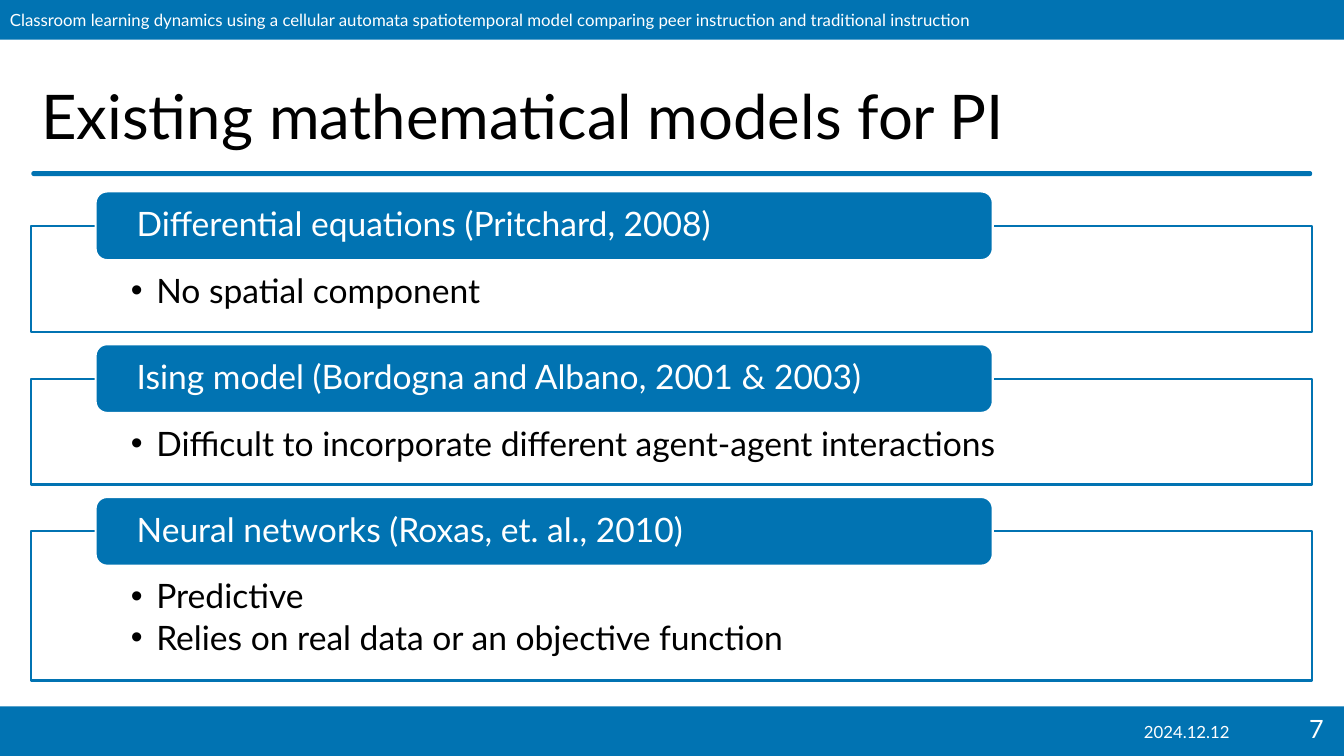
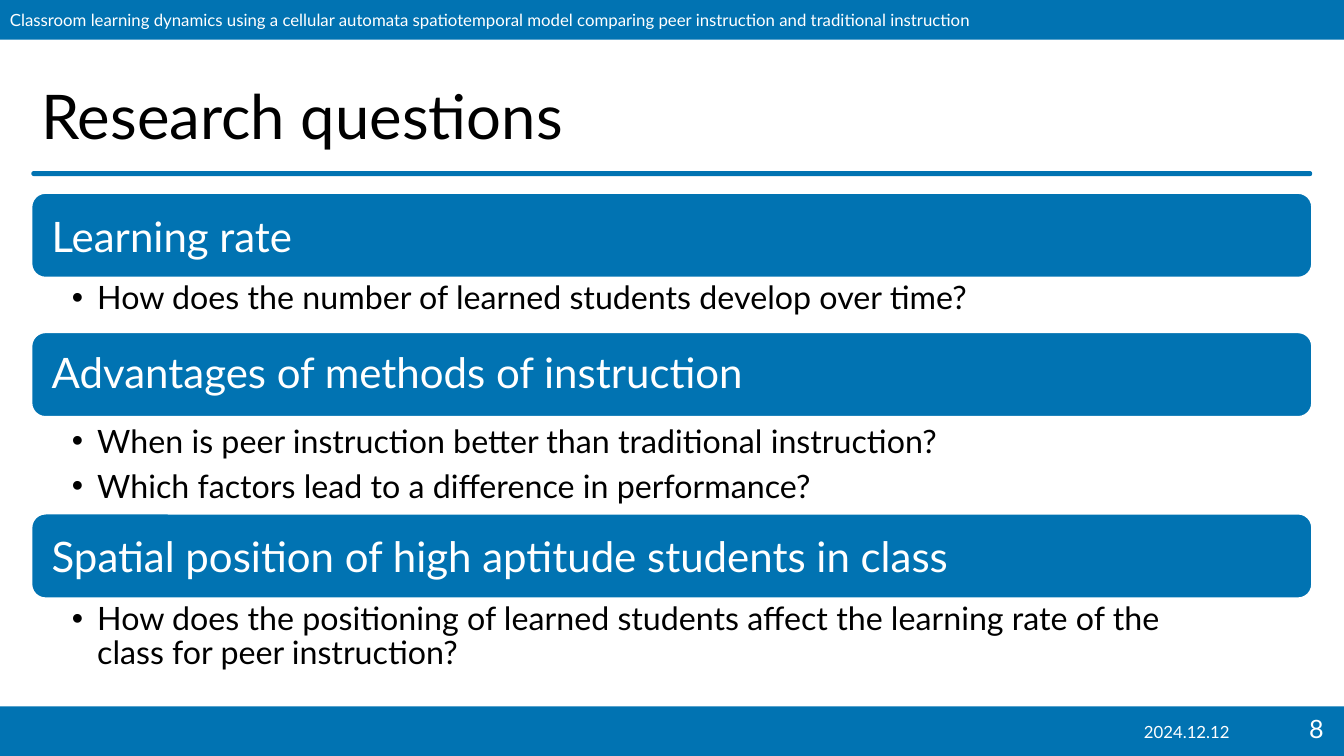
from lxml import etree
from pptx import Presentation
from pptx.dml.color import RGBColor
from pptx.enum.shapes import MSO_SHAPE
from pptx.enum.text import MSO_ANCHOR, PP_ALIGN
from pptx.oxml.ns import qn
from pptx.util import Cm, Pt

RECT, ROUND = MSO_SHAPE.RECTANGLE, MSO_SHAPE.ROUNDED_RECTANGLE
TOP, MIDDLE = MSO_ANCHOR.TOP, MSO_ANCHOR.MIDDLE
LEFT, CENTER, RIGHT = PP_ALIGN.LEFT, PP_ALIGN.CENTER, PP_ALIGN.RIGHT

BLUE = RGBColor(0x01, 0x73, 0xB2)
WHITE = RGBColor(0xFF, 0xFF, 0xFF)
BLACK = RGBColor(0x00, 0x00, 0x00)
FONT = "Lato"

SLIDE_W, SLIDE_H = 33.87, 19.05
MARGIN, BODY_W = 0.79, 32.28
RUNNING_TITLE = ("Classroom learning dynamics using a cellular automata spatiotemporal "
                 "model comparing peer instruction and traditional instruction")
DATE = "2024.12.12"
FIRST_PAGE = 7
TITLES = ["Existing mathematical models for PI", "Research questions"]

# heading, bullets, frame height
MODELS = [
    ("Differential equations (Pritchard, 2008)", ["No spatial component"], 2.67),
    ("Ising model (Bordogna and Albano, 2001 & 2003)",
     ["Difficult to incorporate different agent-agent interactions"], 2.67),
    ("Neural networks (Roxas, et. al., 2010)",
     ["Predictive", "Relies on real data or an objective function"], 3.76),
]
# heading, its line spacing, bullets, their line spacing, height of the bullets
QUESTIONS = [
    ("Learning rate", 1.0,
     ["How does the number of learned students develop over time?"], 0.9, 1.37),
    ("Advantages of methods of instruction", 0.9,
     ["When is peer instruction better than traditional instruction?",
      "Which factors lead to a difference in performance?"], 1.0, 2.43),
    ("Spatial position of high aptitude students in class", 1.0,
     ["How does the positioning of learned students affect the learning rate of the\v"
      "class for peer instruction?"], 0.9, 2.03),
]


def add_box(s, box, kind=None, fill=None, line=None):
    """Add a preset shape, or a text box when no kind is given."""
    box = [Cm(v) for v in box]
    if kind is None:
        return s.shapes.add_textbox(*box)
    sp = s.shapes.add_shape(kind, *box)
    sp.shadow.inherit = False
    sp.fill.solid()
    sp.fill.fore_color.rgb = fill
    if line is None:
        sp.line.fill.background()
    else:
        sp.line.color.rgb = line
        sp.line.width = Pt(1.5)
    return sp


def write(sp, lines, size, color, align=LEFT, spacing=1.0, after=0, bullet=False,
          anchor=MIDDLE, insets=(0.25, 0.13, 0.25, 0.13)):
    """Fill a shape with one paragraph per line; insets are left, top, right, bottom."""
    tf = sp.text_frame
    left, top, right, bottom = [Cm(v) for v in insets]
    frame_format = {"word_wrap": True, "vertical_anchor": anchor, "margin_left": left,
                    "margin_top": top, "margin_right": right, "margin_bottom": bottom}
    for name, value in frame_format.items():
        setattr(tf, name, value)
    for i, line in enumerate(lines):
        p = tf.paragraphs[0] if i == 0 else tf.add_paragraph()
        p.text = line
        if bullet:
            pPr = p._p.get_or_add_pPr()
            pPr.set("marL", str(Cm(0.64)))
            pPr.set("indent", str(-Cm(0.64)))
            etree.SubElement(pPr, qn("a:buFont")).set("typeface", "Arial")
            etree.SubElement(pPr, qn("a:buChar")).set("char", "•")
        paragraph_format = {"alignment": align, "line_spacing": spacing,
                            "space_after": Pt(after)}
        for name, value in paragraph_format.items():
            setattr(p, name, value)
        for r in p.runs:
            r.font.name = FONT
            r.font.size = Pt(size)
            r.font.color.rgb = color


prs = Presentation()
prs.slide_width, prs.slide_height = Cm(SLIDE_W), Cm(SLIDE_H)
layout = prs.slide_layouts[5]
slides = [prs.slides.add_slide(layout) for _ in TITLES]
models, questions = slides

# Bands and title rule are drawn once, then moved to the layout
header = add_box(models, (0, 0, SLIDE_W, 1), RECT, BLUE)
write(header, [RUNNING_TITLE], 12, WHITE)
footer = add_box(models, (0, 17.8, SLIDE_W, 1.25), RECT, BLUE)
rule = add_box(models, (MARGIN, 4.31, BODY_W, 0.13), ROUND, BLUE)
rule.adjustments[0] = 0.5
for sp in (header, footer, rule):
    layout.shapes.element.append(sp.element)

# Title, date and page number
for page, (s, title) in enumerate(zip(slides, TITLES), FIRST_PAGE):
    sp = s.shapes.title
    sp.left, sp.top, sp.width, sp.height = Cm(MARGIN), Cm(1.93), Cm(27.74), Cm(2.16)
    write(sp, [title], 44, BLACK, spacing=0.9)
    write(add_box(s, (28.4, 17.93, 3.02, 1)), [DATE], 12, WHITE, CENTER)
    write(add_box(s, (31.55, 17.93, 2.06, 1)), [str(page)], 18, WHITE, RIGHT,
          spacing=0.9, anchor=TOP)

# Framed lists with a heading centred on the top edge
HEADING_H, FRAME_GAP = 1.73, 1.18
y = 5.69
for heading, bullets, height in MODELS:
    frame = add_box(models, (MARGIN, y, BODY_W, height), RECT, WHITE, BLUE)
    write(frame, bullets, 24, BLACK, spacing=0.9, after=3.6, bullet=True, anchor=TOP,
          insets=(2.51, 1.22, 2.51, 0.48))
    label = add_box(models, (2.41, y - HEADING_H / 2, 22.61, HEADING_H), ROUND, BLUE, WHITE)
    write(label, [heading], 24, WHITE, spacing=0.9, insets=(0.95, 0, 0.95, 0))
    y += height + FRAME_GAP

# Full-width headings with bullets stacked below
BAR_H = 2.14
y = 4.86
for heading, heading_spacing, bullets, bullet_spacing, height in QUESTIONS:
    bar = add_box(questions, (MARGIN, y, BODY_W, BAR_H), ROUND, BLUE, WHITE)
    write(bar, [heading], 30, WHITE, spacing=heading_spacing, insets=(0.41, 0.3, 0.41, 0.3))
    answer = add_box(questions, (MARGIN, y + BAR_H, BODY_W, height))
    write(answer, bullets, 23, BLACK, spacing=bullet_spacing, after=4.6, bullet=True,
          anchor=TOP, insets=(1.02, 0.1, 0.58, 0.1))
    y += BAR_H + height

prs.save("out.pptx")
